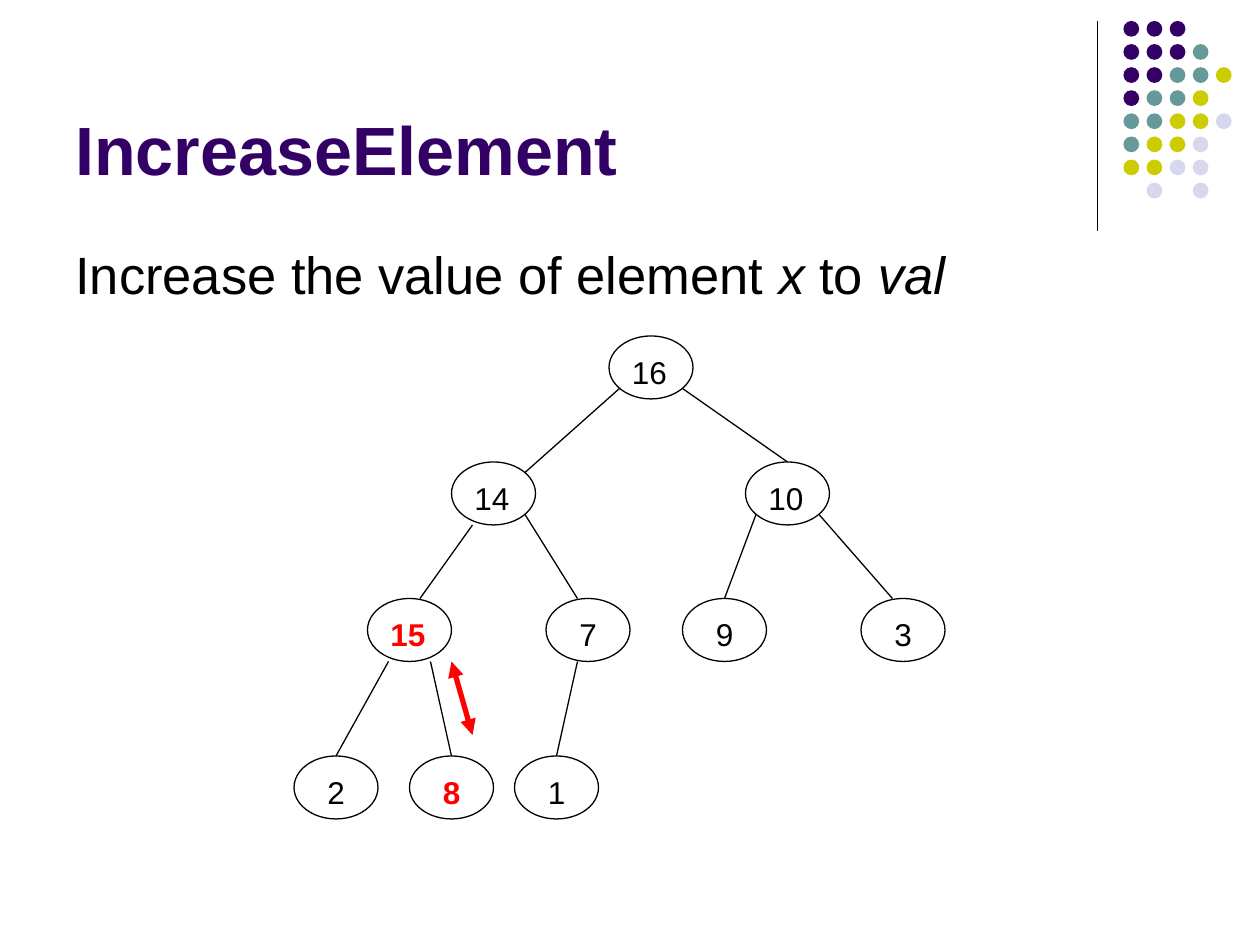
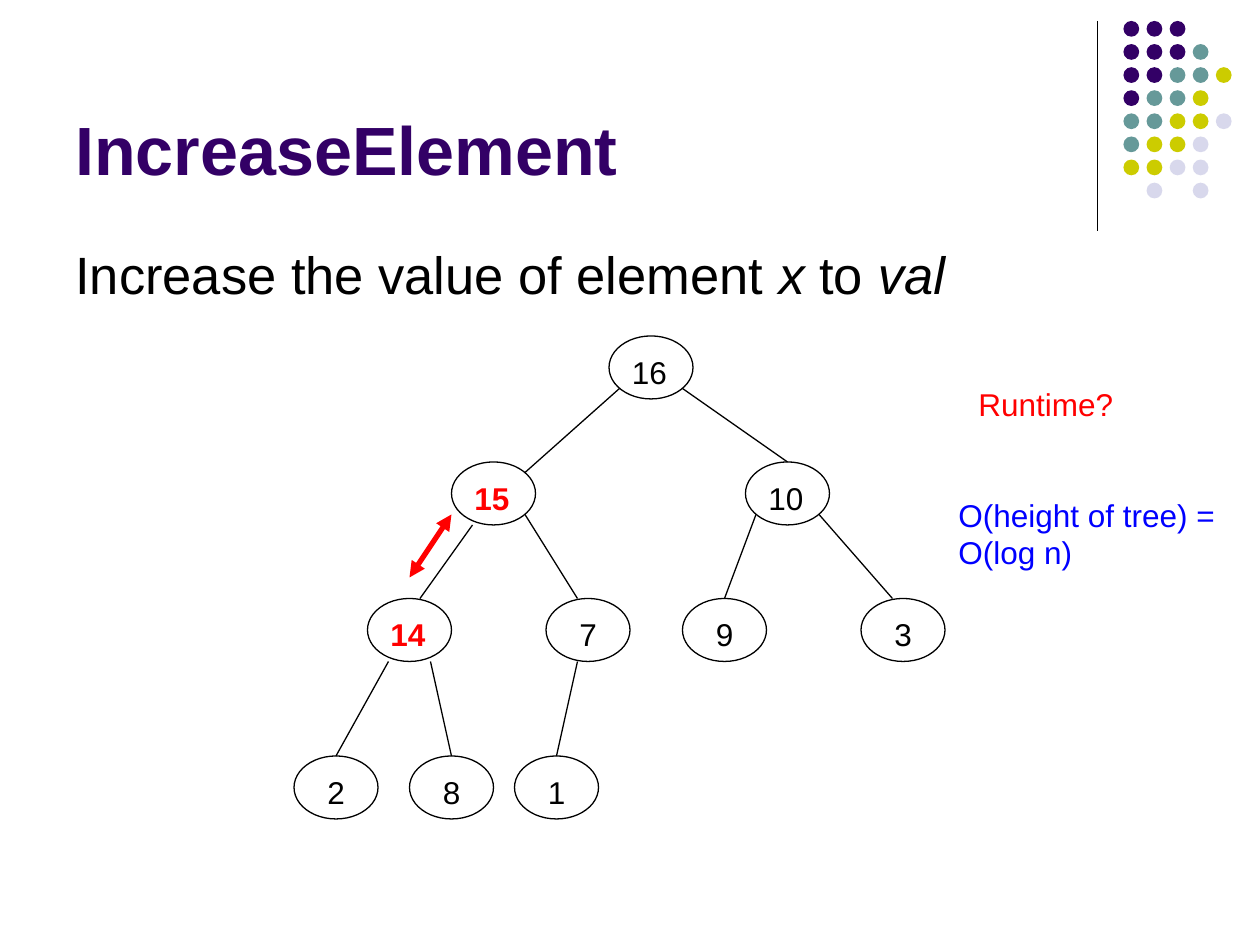
"""Build two slides on raising a heap element, laid out on a grid of 120 columns by 90 rows."""
from typing import NamedTuple

from lxml import etree
from pptx import Presentation
from pptx.dml.color import RGBColor
from pptx.enum.shapes import MSO_CONNECTOR, MSO_SHAPE
from pptx.enum.text import MSO_ANCHOR
from pptx.oxml.ns import qn
from pptx.slide import Slide
from pptx.util import Inches, Pt

OVAL = MSO_SHAPE.OVAL
STRAIGHT = MSO_CONNECTOR.STRAIGHT
TOP, BOTTOM = MSO_ANCHOR.TOP, MSO_ANCHOR.BOTTOM
WIDTH, HEIGHT = Inches(10), Inches(7.5)
COLS, ROWS = 120, 90
FONT = "Arial"
BLACK, RED, BLUE, PURPLE = "000000", "FF0000", "0000FF", "330066"
THIN, THICK = 0.75, 3

DOTS = ("PPP", "PPPT", "PPTTY", "PTTY", "TTYYL", "TYYL", "YYLL", " L L")
TINTS = {"P": PURPLE, "T": "669999", "Y": "CCCC00", "L": "D8D8EC"}
DOT, PITCH = 1.5, 2.2


class Box(NamedTuple):
    col: float
    row: float
    wide: float
    high: float


class Edge(NamedTuple):
    col: float
    row: float
    to_col: float
    to_row: float


class Note(NamedTuple):
    box: Box
    text: str
    color: str = BLACK
    size: float = 18
    bold: bool = False
    wrap: bool = True
    anchor: MSO_ANCHOR = TOP


class Page(NamedTuple):
    keys: tuple[int, ...]
    moved: tuple[int, ...]
    swap: Edge
    notes: tuple[Note, ...] = ()


RULE = Edge(104.5, 2, 104.5, 22)
HEADS = (
    Note(Box(6, 1.6, 99, 17), "IncreaseElement", PURPLE, 39, True, anchor=BOTTOM),
    Note(Box(6, 22.5, 108, 7.4), "Increase the value of element *x* to *val*", size=30),
)
NODES = tuple(
    Box(col, row, 8, 6)
    for row, cols in ((32, (58,)), (44, (43, 71)), (57, (35, 52, 65, 82)), (72, (28, 39, 49)))
    for col in cols
)
EDGES = (
    Edge(59, 37, 50, 45), Edge(65, 37, 75, 44),
    Edge(45, 50, 40, 57), Edge(50, 49, 55, 57),
    Edge(72, 49, 69, 57), Edge(78, 49, 85, 57),
    Edge(37, 63, 32, 72), Edge(41, 63, 43, 72), Edge(55, 63, 53, 72),
)
PAGES = (
    Page((16, 14, 10, 15, 7, 9, 3, 2, 8, 1), (15, 8), Edge(45, 70, 43, 63)),
    Page((16, 15, 10, 14, 7, 9, 3, 2, 8, 1), (15, 14), Edge(43, 49, 39, 55), (
        Note(Box(92, 36.1, 15.4, 4.8), "Runtime?", RED, wrap=False),
        Note(Box(90.1, 46.6, 28, 8.5), "O(height of tree) =\nO(log n)", BLUE, wrap=False),
    )),
)


def rgb(code: str) -> RGBColor:
    """Turn a hex string into a colour."""
    return RGBColor.from_string(code)


def place(spot: tuple) -> list[int]:
    """Turn pairs of columns and rows into lengths."""
    units = (WIDTH / COLS, HEIGHT / ROWS) * 2
    return [round(part * unit) for part, unit in zip(spot, units)]


def oval(slide: Slide, box: Box, fill: str = "") -> None:
    """Draw a filled dot, or a thin outlined ring when no fill is given."""
    shape = slide.shapes.add_shape(OVAL, *place(box))
    shape.shadow.inherit = False
    if fill:
        shape.fill.solid()
        shape.fill.fore_color.rgb = rgb(fill)
        shape.line.fill.background()
    else:
        shape.fill.background()
        shape.line.color.rgb = rgb(BLACK)
        shape.line.width = Pt(THIN)


def link(slide: Slide, edge: Edge, color: str = BLACK, width: float = THIN,
         tips: bool = False) -> None:
    """Draw a straight line, with arrowheads at both ends on request."""
    line = slide.shapes.add_connector(STRAIGHT, *place(edge))
    line.line.color.rgb = rgb(color)
    line.line.width = Pt(width)
    props = line._element.spPr
    etree.SubElement(props, qn("a:effectLst"))
    if tips:
        for end in ("a:headEnd", "a:tailEnd"):
            etree.SubElement(props.find(qn("a:ln")), qn(end), type="triangle")


def write(slide: Slide, note: Note) -> None:
    """Write a note, setting the words between stars in italics."""
    frame = slide.shapes.add_textbox(*place(note.box)).text_frame
    frame.word_wrap = note.wrap
    frame.vertical_anchor = note.anchor
    for at, text in enumerate(note.text.split("\n")):
        para = frame.add_paragraph() if at else frame.paragraphs[0]
        font = para.font
        font.name, font.size, font.bold = FONT, Pt(note.size), note.bold
        font.color.rgb = rgb(note.color)
        for part, words in enumerate(text.split("*")):
            if words:
                run = para.add_run()
                run.text = words
                if part % 2:
                    run.font.italic = True


def frame_page(slide: Slide) -> None:
    """Draw the rule, the dot pattern and the headings."""
    link(slide, RULE)
    for row, marks in enumerate(DOTS):
        for col, mark in enumerate(marks):
            if mark in TINTS:
                oval(slide, Box(107 + col * PITCH, 2 + row * PITCH, DOT, DOT), TINTS[mark])
    for head in HEADS:
        write(slide, head)


def tree(slide: Slide, page: Page) -> None:
    """Draw the heap with its moved keys in bold red."""
    for edge in EDGES:
        link(slide, edge)
    for node, key in zip(NODES, page.keys):
        oval(slide, node)
        inset = 1 if key > 9 else 2
        moved = key in page.moved
        label = Box(node.col + inset, node.row + 1, 7, 4.8)
        write(slide, Note(label, str(key), RED if moved else BLACK, bold=moved))
    link(slide, page.swap, RED, THICK, tips=True)


def main() -> None:
    """Build and save the deck."""
    deck = Presentation()
    deck.slide_width, deck.slide_height = WIDTH, HEIGHT
    for page in PAGES:
        slide = deck.slides.add_slide(deck.slide_layouts[6])
        frame_page(slide)
        tree(slide, page)
        for note in page.notes:
            write(slide, note)
    deck.save("out.pptx")


if __name__ == "__main__":
    main()
